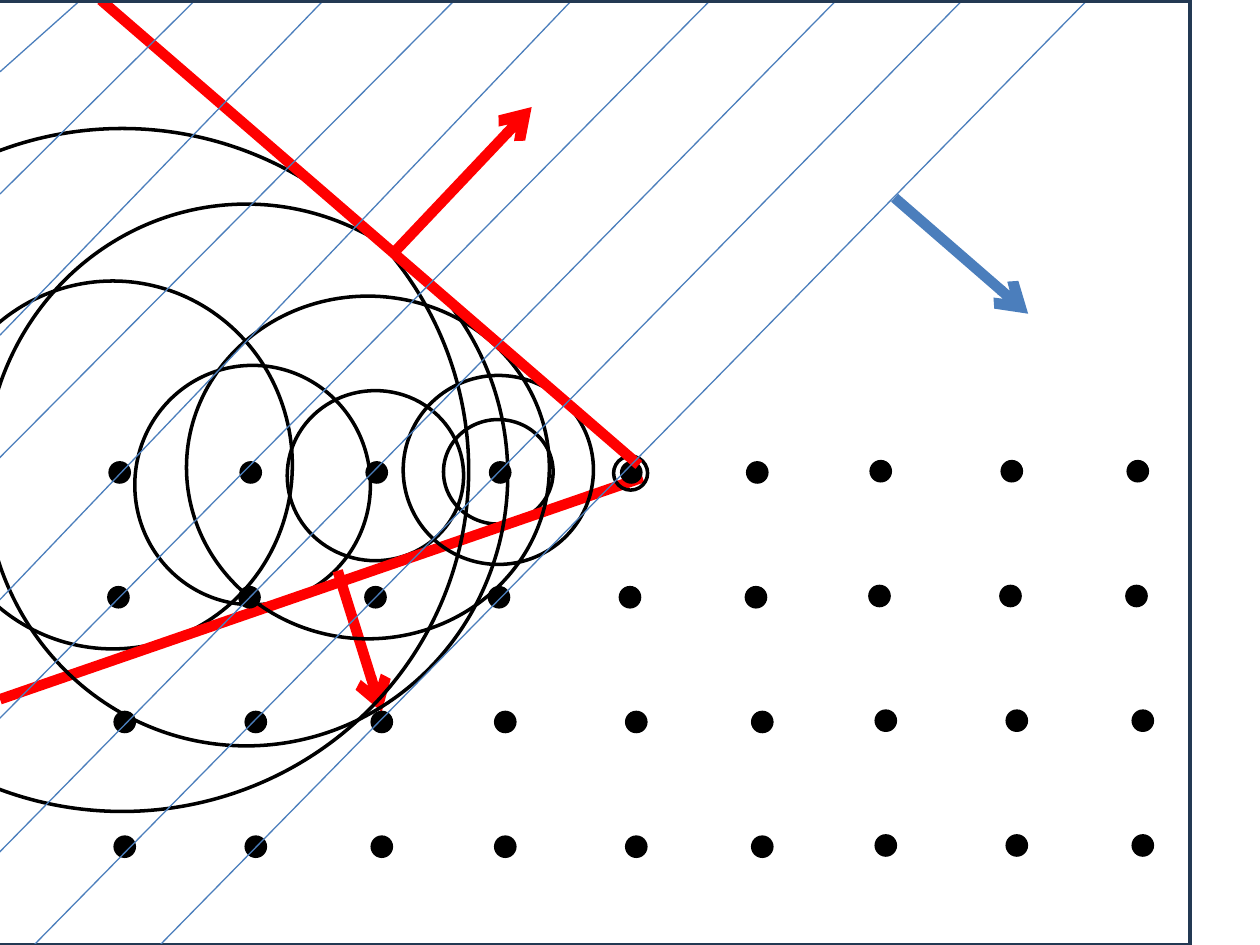
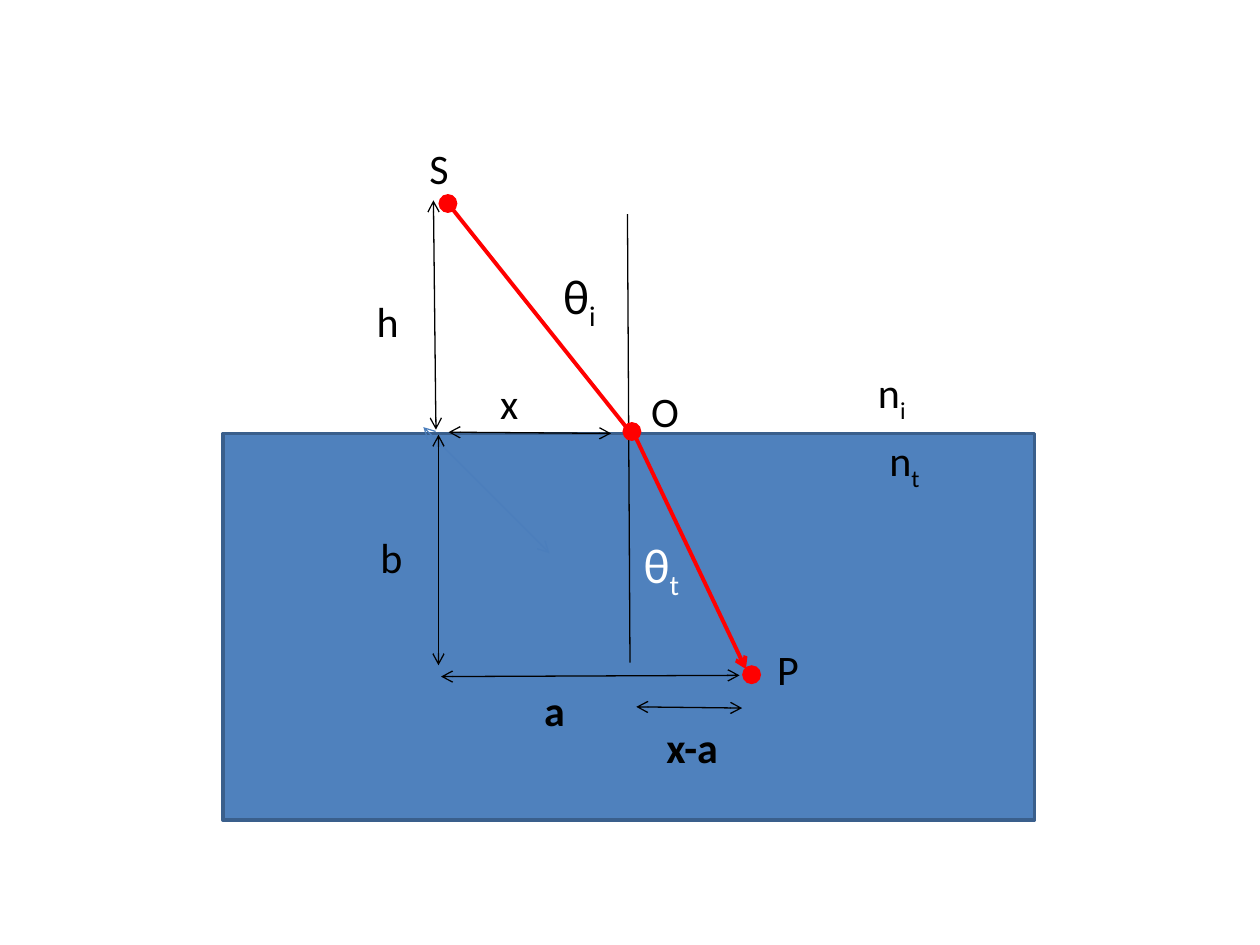
from itertools import accumulate, cycle, islice

from lxml import etree
from pptx import Presentation
from pptx import util as u
from pptx.dml.color import RGBColor
from pptx.enum import shapes, text
from pptx.oxml import ns

COLORS = {
    "black": "000000",
    "white": "FFFFFF",
    "red": "FF0000",
    "blue": "4B7EBC",
    "water": "4F81BD",
    "water_edge": "3A5F8C",
    "frame": "233953",
}


def inches(value):
    return u.Cm(value * 2.54)


class Drawing:
    """Holds the shared style and the slide being drawn."""

    font = "Calibri"
    thin = 0.75

    def __init__(self, deck):
        self.deck = deck
        self.page = None

    def new_page(self):
        self.page = self.deck.slides.add_slide(self.deck.slide_layouts[6])

    def color(self, name):
        return RGBColor.from_string(COLORS[name])

    def paint(self, shape, fill, line, width):
        shape.shadow.inherit = False
        if fill:
            shape.fill.solid()
            shape.fill.fore_color.rgb = self.color(fill)
        else:
            shape.fill.background()
        if line:
            shape.line.color.rgb = self.color(line)
            shape.line.width = u.Pt(width)
        else:
            shape.line.fill.background()

    def shape(self, kind, bounds, fill=None, line=None, width=2):
        shape = self.page.shapes.add_shape(kind, *map(inches, bounds))
        self.paint(shape, fill, line, width)

    def ellipse(self, *bounds, **style):
        self.shape(shapes.MSO_SHAPE.OVAL, bounds, **style)

    def rect(self, *bounds, **style):
        self.shape(shapes.MSO_SHAPE.RECTANGLE, bounds, **style)

    def polygon(self, points, fill):
        start, *rest = [tuple(map(inches, point)) for point in points]
        builder = self.page.shapes.build_freeform(*start)
        builder.add_line_segments(rest, close=True)
        self.paint(builder.convert_to_shape(), fill, None, 0)

    def line(self, start, end, color="black", width=thin, arrows=(), group=None):
        """Arrows names the ends with an arrowhead: head (start), tail (end)."""
        target = group or self.page
        connector = target.shapes.add_connector(
            shapes.MSO_CONNECTOR.STRAIGHT, *map(inches, (*start, *end)))
        connector.line.color.rgb = self.color(color)
        connector.line.width = u.Pt(width)
        outline = connector.line._get_or_add_ln()
        for side in arrows:
            etree.SubElement(outline, ns.qn(f"a:{side}End"), type="arrow")
        etree.SubElement(connector._element.spPr, ns.qn("a:effectLst"))

    def label(self, bounds, words, sub="", size=24, color="black", bold=False, wrap=False):
        box = self.page.shapes.add_textbox(*map(inches, bounds))
        frame = box.text_frame
        frame.word_wrap = wrap
        frame.auto_size = text.MSO_AUTO_SIZE.SHAPE_TO_FIT_TEXT
        para = frame.paragraphs[0]
        for part in filter(None, (words, sub)):
            span = para.add_run()
            span.text = part
            span.font.name = self.font
            span.font.size = u.Pt(size)
            span.font.bold = bold
            span.font.color.rgb = self.color(color)
        if sub:
            span.font._element.set("baseline", "-25000")


def draw_wavefronts(art):
    art.new_page()
    heavy = 6

    def wavelet(*bounds):
        art.ellipse(*bounds, line="black")

    # Inner wavelets, lower wavefront and direction arrows
    wavelet(3.52, 3.33, 0.87, 0.83)
    wavelet(2.28, 3.1, 1.4, 1.35)
    wavelet(-0.53, 2.23, 2.85, 2.92)
    wavelet(1.07, 2.9, 1.87, 1.9)
    art.line((5.1, 3.79), (0, 5.55), "red", heavy)
    art.line((2.68, 4.53), (3.03, 5.65), "red", heavy, ["tail"])
    art.line((7.1, 1.57), (8.16, 2.49), "blue", heavy, ["tail"])

    # Outer wavelets, cut off above the upper wavefront
    wavelet(4.87, 3.62, 0.27, 0.27)
    wavelet(3.2, 2.98, 1.51, 1.5)
    wavelet(1.48, 2.35, 2.88, 2.72)
    wavelet(-1.78, 1.02, 5.5, 5.42)
    wavelet(-0.12, 1.62, 4.15, 4.3)
    art.polygon([(0.8, 0), (4.7, 3.37), (5, 3), (5, 0)], "white")

    # Lattice of scatterers: column gaps repeat in threes
    dot = 0.18
    gaps = islice(cycle((1.04, 1, 0.98)), 8)
    columns = list(accumulate(gaps, initial=0))
    for row, left in enumerate((0.86, 0.85, 0.9, 0.9)):
        for index, offset in enumerate(columns):
            lift = 0.01 if index >= 6 else 0
            art.ellipse(left + offset, 3.66 + 0.99 * row - lift, dot, dot, fill="black")

    # Upper wavefront
    art.line((5.07, 3.69), (0.8, 0), "red", heavy)
    art.line((3.15, 1.98), (4.22, 0.85), "red", heavy, ["tail"])

    # Incoming wavefronts inside the frame
    art.rect(-0.04, 0, 9.48, 7.5, line="frame")
    incoming = art.page.shapes.add_group_shape()
    for left, bottom, top_x in (
        (1.27, 7.5, 8.63), (-0.04, 6.8, 6.64), (0.27, 7.5, 7.64),
        (-0.04, 4.8, 4.54), (-0.02, 3.65, 3.61), (0, 2.66, 2.57),
        (-0.12, 5.82, 5.64), (0, 1.54, 1.55), (0, 0.57, 0.64),
    ):
        art.line((left, bottom), (top_x, 0), "blue", group=incoming)
    art.rect(9.47, 0.01, 1.97, 7.5, fill="white")
    art.rect(-0.03, 0.01, 9.48, 7.5, line="frame")


def draw_refraction(art):
    art.new_page()
    both = ("head", "tail")

    # Water, surface normal and light ray
    art.rect(1.77, 3.44, 6.44, 3.07, fill="water", line="water_edge")
    art.line((4.98, 1.7), (5, 5.26))
    art.line((5.01, 3.44), (3.52, 1.57), "red", 2.25)
    art.line((5.92, 5.31), (5.04, 3.46), "red", 2.25, ["head"])

    # Angles
    art.label((5.01, 4.19, 0.55, 0.57), "θ", "t", 28, "white", wrap=True)
    art.label((4.37, 2.06, 0.55, 0.57), "θ", "i", 28, wrap=True)

    # Dimension arrows
    art.line((3.36, 3.39), (4.36, 4.39), "blue", arrows=both)
    for start, end in (
        ((3.46, 3.41), (3.44, 1.59)),
        ((3.48, 5.28), (3.48, 3.45)),
        ((4.85, 3.44), (3.56, 3.43)),
        ((5.87, 5.36), (3.5, 5.37)),
        ((5.89, 5.62), (5.05, 5.61)),
    ):
        art.line(start, end, arrows=both)

    # Lengths, indices and point names
    for left, top, width, words, sub, bold in (
        (2.89, 2.3, 0.38, "h", "", False),
        (3.87, 2.95, 0.35, "x", "", False),
        (2.92, 4.17, 0.38, "b", "", False),
        (4.22, 5.38, 0.38, "a", "", True),
        (5.19, 5.68, 0.63, "x-a", "", True),
        (6.87, 2.86, 0.43, "n", "i", False),
        (6.96, 3.4, 0.45, "n", "t", False),
        (3.31, 1.08, 0.36, "S", "", False),
        (5.07, 3.01, 0.42, "O", "", False),
        (6.07, 5.06, 0.38, "P", "", False),
    ):
        art.label((left, top, width, 0.5), words, sub, bold=bold)

    # Points S, O and P
    for left, top in ((3.48, 1.54), (4.94, 3.35), (5.89, 5.28)):
        art.ellipse(left, top, 0.15, 0.15, fill="red")


def main():
    deck = Presentation()
    deck.slide_width, deck.slide_height = inches(10), inches(7.5)
    art = Drawing(deck)
    draw_wavefronts(art)
    draw_refraction(art)
    deck.save("out.pptx")


if __name__ == "__main__":
    main()
